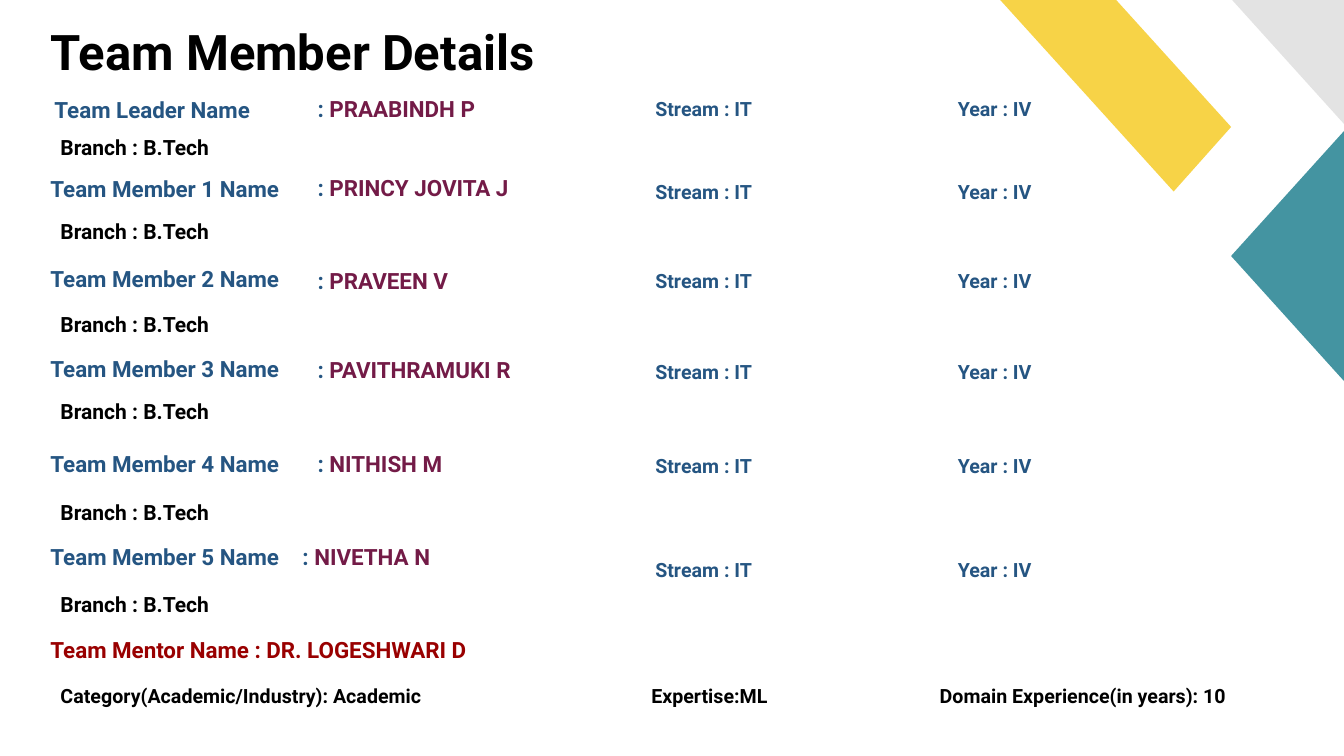
from lxml.etree import SubElement
from pptx import Presentation
from pptx.dml.color import RGBColor
from pptx.enum.text import MSO_ANCHOR as Anchor, MSO_AUTO_SIZE as AutoSize
from pptx.oxml.ns import qn
from pptx.util import Inches, Pt

BLACK, BLUE, PLUM, RED = "000000", "255582", "731B47", "990000"
YELLOW, GREY, TEAL = "F7D347", "E3E3E3", "4494A1"

BRANCH = "Branch : B.Tech"


def rgb(hex_color):
    return RGBColor.from_string(hex_color)


def add_frame(slide, box, top_inset=0.01, anchor=Anchor.TOP):
    frame = slide.shapes.add_textbox(*map(Inches, box)).text_frame
    frame.word_wrap = True
    frame.auto_size = AutoSize.SHAPE_TO_FIT_TEXT
    frame.vertical_anchor = anchor
    frame.margin_left = frame.margin_right = frame.margin_bottom = 0
    frame.margin_top = Inches(top_inset)
    return frame


def add_line(frame, text, size=16, color=BLUE, indent=0.01, before=0, name="", tab=None):
    """Add one bold line, with an optional plum-coloured name at its end."""
    line = frame.paragraphs[0]
    if line.runs:
        line = frame.add_paragraph()
    properties = line._p.get_or_add_pPr()
    properties.set("marL", str(Inches(indent)))
    properties.set("indent", "0")
    line.space_before = Pt(before)
    if tab:
        stops = SubElement(properties, qn("a:tabLst"))
        SubElement(stops, qn("a:tab"), pos=str(Inches(tab)), algn="l")
    for part, part_color in ((text, color), (name, PLUM)):
        if part:
            run = line.add_run()
            run.text = part
            run.font.name = "Roboto"
            run.font.size = Pt(size)
            run.font.bold = True
            run.font.color.rgb = rgb(part_color)


def add_branch(frame, before=0):
    add_line(frame, BRANCH, size=15, color=BLACK, indent=0.11, before=before)


def draw_accents(slide, left, top):
    """Coloured shapes in the corner, measured from the group's corner."""
    accents = slide.shapes.add_group_shape()
    outlines = (
        (YELLOW, [(1.72, 1.9), (0, 0), (1.15, 0), (2.29, 1.26)]),
        (GREY, [(3.41, 1.23), (2.3, 0), (3.41, 0)]),
        (TEAL, [(3.41, 3.78), (2.29, 2.54), (3.41, 1.3)]),
    )
    for color, corners in outlines:
        points = [(Inches(left + x), Inches(top + y)) for x, y in corners]
        builder = accents.shapes.build_freeform(*points[0])
        builder.add_line_segments(points[1:], close=True)
        accent = builder.convert_to_shape()
        accent.shadow.inherit = False
        accent.fill.solid()
        accent.fill.fore_color.rgb = rgb(color)
        accent.line.fill.background()


def draw_title(slide, box):
    title = add_frame(slide, box, anchor=Anchor.MIDDLE)
    add_line(title, "Team Member Details", size=35, color=BLACK)


def draw_roles(slide, left):
    """Left column: roles, branches and mentor."""
    leader = add_frame(slide, (left, 0.81, 2.37, 1.62), top_inset=0.14)
    add_line(leader, "Team Leader Name", indent=0.05)
    add_branch(leader, 8.3)
    add_line(leader, "Team Member 1 Name", before=11.5)
    add_branch(leader, 11.3)

    middle = add_frame(slide, (left, 2.62, 2.4, 1.62))
    add_line(middle, "Team Member 2 Name")
    add_branch(middle, 13.8)
    add_line(middle, "Team Member 3 Name", before=13.5)
    add_branch(middle, 11.6)

    fourth = add_frame(slide, (left, 4.46, 2.4, 0.29))
    add_line(fourth, "Team Member 4 Name")

    last = add_frame(slide, (left, 4.95, 4.49, 2.09))
    add_branch(last)
    add_line(last, "Team Member 5 Name\t: ", before=13.1, name="NIVETHA N", tab=3.18)
    add_branch(last, 15.3)
    add_line(last, "Team Mentor Name : DR. LOGESHWARI D", color=RED, before=13.6)
    add_line(last, "Category(Academic/Industry): Academic", size=14, color=BLACK,
             indent=0.11, before=14.9)


def draw_names(slide, left):
    members = (
        ("PRAABINDH P", 0.93, 1.7),
        ("PRINCY JOVITA J", 1.72, 1.99),
        ("PRAVEEN V", 2.64, 1.42),
        ("PAVITHRAMUKI R", 3.52, 2.06),
        ("NITHISH M", 4.46, 1.3),
    )
    for member, top, width in members:
        add_line(add_frame(slide, (left, top, width, 0.29)), ": ", name=member)


def draw_studies(slide, stream_left, year_left):
    """Stream and year of each member."""
    for top in (0.95, 1.77, 2.66, 3.56, 4.49, 5.52):
        add_line(add_frame(slide, (stream_left, top, 1.06, 0.25)), "Stream : IT", size=14)
        add_line(add_frame(slide, (year_left, top, 0.81, 0.25)), "Year : IV", size=14)


def draw_mentor_facts(slide, top):
    facts = (
        ("Expertise:ML", 6.45, 1.26),
        ("Domain Experience(in years): 10", 9.31, 3.05),
    )
    for fact, left, width in facts:
        add_line(add_frame(slide, (left, top, width, 0.25)), fact, size=14, color=BLACK)


def main():
    deck = Presentation()
    deck.slide_width, deck.slide_height = Inches(13.33), Inches(7.5)
    slide = deck.slides.add_slide(deck.slide_layouts[6])
    draw_accents(slide, 9.92, 0)
    draw_title(slide, (0.49, 0.2, 5.05, 0.6))
    draw_roles(slide, 0.49)
    draw_names(slide, 3.14)
    draw_studies(slide, 6.49, 9.49)
    draw_mentor_facts(slide, 6.77)
    deck.save("out.pptx")


if __name__ == "__main__":
    main()
